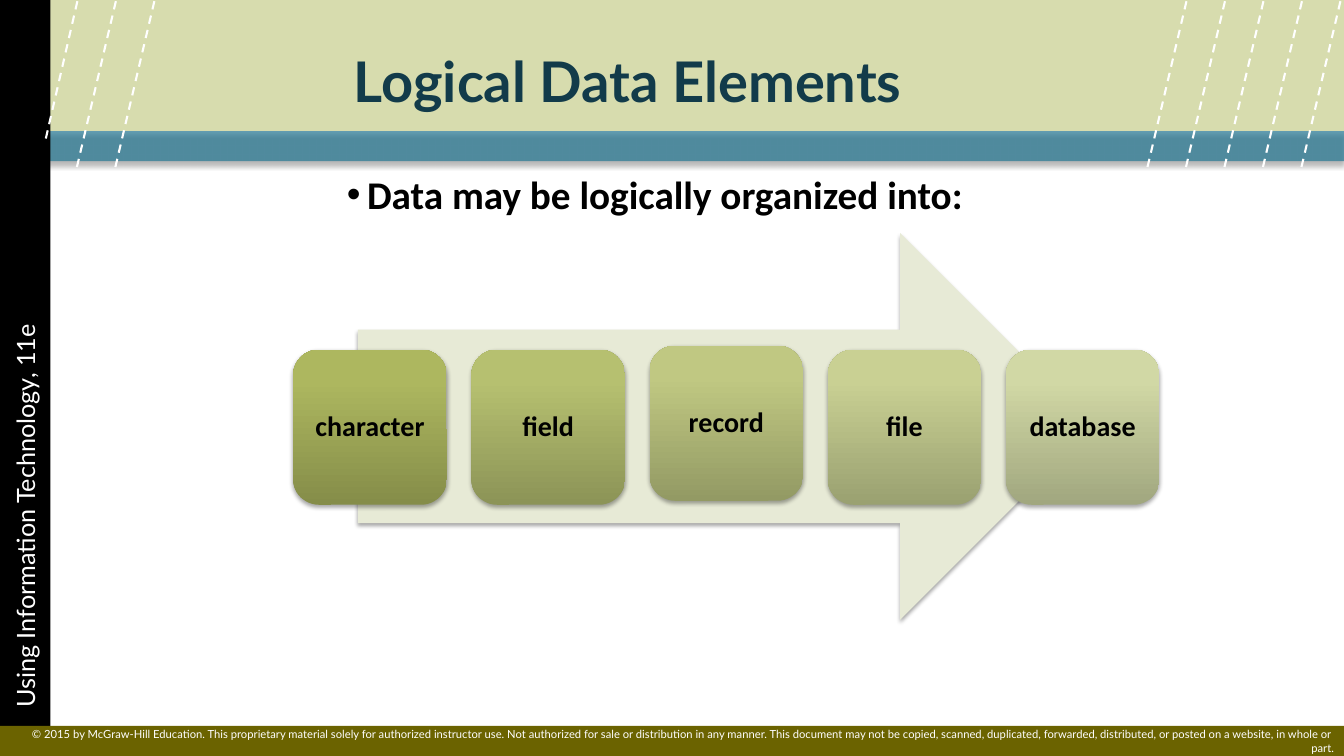
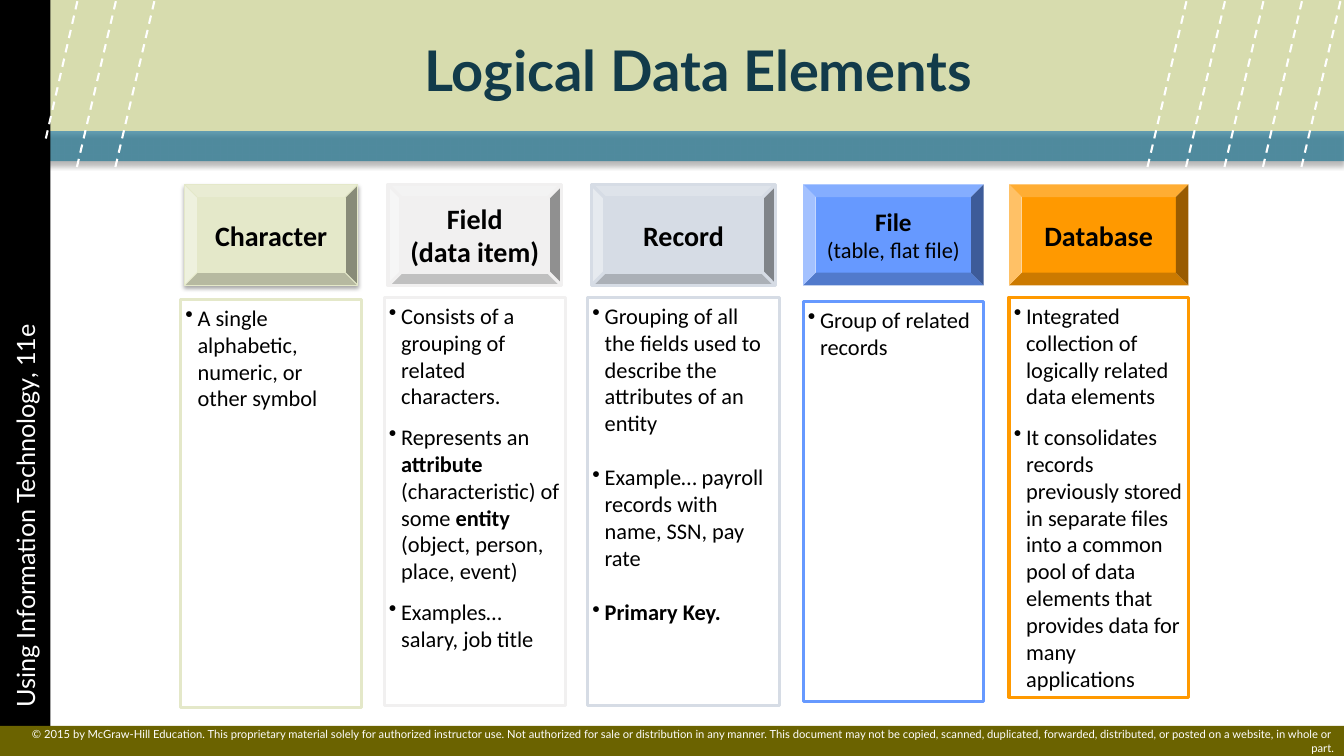
from copy import deepcopy
from dataclasses import dataclass

from lxml import etree
from pptx import Presentation
from pptx.dml.color import RGBColor
from pptx.enum.dml import MSO_LINE
from pptx.enum.shapes import MSO_CONNECTOR, MSO_SHAPE
from pptx.enum.text import MSO_ANCHOR, MSO_AUTO_SIZE, PP_ALIGN
from pptx.oxml.ns import qn
from pptx.util import Cm, Pt

RECT, BEVEL = MSO_SHAPE.RECTANGLE, MSO_SHAPE.BEVEL
ROUNDED, RIGHT_ARROW = MSO_SHAPE.ROUNDED_RECTANGLE, MSO_SHAPE.RIGHT_ARROW
STRAIGHT, DASH = MSO_CONNECTOR.STRAIGHT, MSO_LINE.DASH
TOP, MIDDLE = MSO_ANCHOR.TOP, MSO_ANCHOR.MIDDLE
LEFT, CENTER, RIGHT = PP_ALIGN.LEFT, PP_ALIGN.CENTER, PP_ALIGN.RIGHT
NO_AUTOFIT = MSO_AUTO_SIZE.NONE


@dataclass(frozen=True)
class Theme:
    width: float = 33.87
    height: float = 19.05
    display_font: str = "Lato"
    text_font: str = "Calibri"
    title: str = "123B4A"
    header: str = "D7DCAE"
    band: str = "247793"
    footer: str = "6B6300"
    arrow: str = "E7EAD6"
    black: str = "000000"
    white: str = "FFFFFF"
    title_size: int = 40
    lead_size: int = 28
    label_size: int = 20
    side_size: int = 18
    text_size: int = 16
    footer_size: int = 8


@dataclass(frozen=True)
class Column:
    heading: str
    items: tuple
    color: str
    left: float
    width: float
    top: float
    height: float
    heading_size: int = 20
    heading_inset: float = 0
    heading_line: float = 0
    heading_shadow: bool = False
    gap: float = 9.75


THEME = Theme()
TITLE = "Logical Data Elements"
LEAD = "*Data may be logically organized into:*"
SIDE = "Using Information Technology, 11e"
COPYRIGHT = (
    "© 2015 by McGraw-Hill Education. This proprietary material solely for "
    "authorized instructor use. Not authorized for sale or distribution in any "
    "manner. This document may not be copied, scanned, duplicated, forwarded, "
    "distributed, or posted on a website, in whole or part."
)

# Label, rise of the box, gradient from bottom to top
STEPS = (
    ("character", 0, ("858D49", "ADB75F", "AFBA5E")),
    ("field", 0, ("8C9457", "B6C070", "B8C26F")),
    ("record", 0.1, ("939A64", "C0C882", "C1CB81")),
    ("file", 0, ("9AA171", "C9D093", "CAD393")),
    ("database", 0, ("A1A77F", "D1D8A5", "D3DAA5")),
)

# Asterisks enclose bold words
COLUMNS = (
    Column("*Character*", ("A single alphabetic, numeric, or other symbol",),
           "E4E8C9", 4.55, 4.57, 7.54, 10.29,
           heading_inset=0.1, heading_line=0.75, heading_shadow=True),
    Column("*Field*\n*(data item)*",
           ("Consists of a grouping of related characters.",
            "Represents an *attribute* (characteristic) of some *entity* "
            "(object, person, place, event)",
            "Examples… salary, job title"),
           "F1F0F0", 9.68, 4.57, 7.49, 10.29, heading_inset=0.1, heading_line=2.25),
    Column("*Record*",
           ("Grouping of all\nthe fields used to describe the attributes of an entity",
            "Example… payroll records with name, SSN, pay rate",
            "*Primary Key.*"),
           "D6DCE5", 14.81, 4.83, 7.49, 10.29,
           heading_inset=0.1, heading_line=2.25, gap=19.5),
    Column("*File*\n(table, flat file)", ("Group of related records",),
           "6699FF", 20.24, 4.55, 7.59, 10.08, heading_size=18),
    Column("*Database*",
           ("Integrated collection of logically related data elements",
            "It consolidates records previously stored in separate files into a "
            "common pool of data elements that provides data for many applications"),
           "FF9900", 25.43, 4.52, 7.49, 10.08),
)


def rgb(color):
    return RGBColor.from_string(color)


def place(shape, left, top, width, height):
    shape.left, shape.top = Cm(left), Cm(top)
    shape.width, shape.height = Cm(width), Cm(height)


def set_margins(frame, margin):
    frame.margin_left = frame.margin_right = Cm(margin)
    frame.margin_top = frame.margin_bottom = Cm(margin)


def format_run(run, font, size, color, bold=False):
    run.font.name, run.font.size, run.font.bold = font, Pt(size), bold
    run.font.color.rgb = rgb(color)


def write_marked(paragraph, text, bold_size, plain_size=THEME.text_size):
    """Write text whose asterisks enclose bold words."""
    for number, line in enumerate(text.split("\n")):
        if number:
            paragraph.add_line_break()
        for index, piece in enumerate(line.split("*")):
            if piece:
                bold = index % 2 == 1
                run = paragraph.add_run()
                run.text = piece
                format_run(run, THEME.text_font, bold_size if bold else plain_size,
                           THEME.black, bold)


def write_plain(shape, text, size, color, align, bold=False):
    frame = shape.text_frame
    frame.text = text
    frame.vertical_anchor = MIDDLE
    paragraph = frame.paragraphs[0]
    paragraph.alignment = align
    format_run(paragraph.runs[0], THEME.display_font, size, color, bold)


def write_list(frame, items, size, indent, gap=0):
    for number, item in enumerate(items):
        paragraph = frame.add_paragraph() if number else frame.paragraphs[0]
        properties = paragraph._p.get_or_add_pPr()
        properties.set("marL", str(Cm(indent)))
        properties.set("indent", str(-Cm(indent)))
        etree.SubElement(properties, qn("a:buChar"), char="•")
        paragraph.alignment = LEFT
        paragraph.space_before = Pt(gap if number else 0)
        write_marked(paragraph, item, size)


def add_shadow(shape, alpha=35, blur=3.1, distance=1.8):
    effects = shape.element.spPr.find(qn("a:effectLst"))
    shadow = etree.SubElement(effects, qn("a:outerShdw"), blurRad=str(Pt(blur)),
                              dist=str(Pt(distance)), dir="5400000", rotWithShape="0")
    color = etree.SubElement(shadow, qn("a:srgbClr"), val=THEME.black)
    etree.SubElement(color, qn("a:alpha"), val=str(alpha * 1000))


def add_panel(slide, kind, box, fill, line=None, line_width=0):
    panel = slide.shapes.add_shape(kind, *map(Cm, box))
    panel.shadow.inherit = False
    panel.fill.solid()
    panel.fill.fore_color.rgb = rgb(fill)
    if line_width:
        panel.line.color.rgb = rgb(line)
        panel.line.width = Pt(line_width)
    else:
        panel.line.fill.background()
    return panel


def fill_gradient(shape, colors):
    shape.fill.gradient()
    shape.fill.gradient_angle = 90
    stop_list = shape.element.spPr.find(qn("a:gradFill")).find(qn("a:gsLst"))
    stop_list.append(deepcopy(stop_list[0]))
    for stop, color, position in zip(shape.fill.gradient_stops, colors, (0, 0.8, 1)):
        stop.color.rgb = rgb(color)
        stop.position = position


def add_dash(slide, start_x, end_x, end_y):
    dash = slide.shapes.add_connector(
        STRAIGHT, Cm(start_x), Cm(0.03), Cm(end_x), Cm(end_y))
    dash.line.color.rgb = rgb(THEME.white)
    dash.line.width = Pt(1.5)
    dash.line.dash_style = DASH
    etree.SubElement(dash.element.spPr, qn("a:effectLst"))
    return dash


def build_master(prs, slide):
    """Draw the shared decoration, then move it to the slide master."""
    # Bands
    band = add_panel(slide, RECT, (0.84, 3.3, 33.03, 0.76), THEME.band)
    tint = band.element.spPr.find(qn("a:solidFill"))[0]
    etree.SubElement(tint, qn("a:alpha"), val="70000")
    add_shadow(band, 40, 4, 3)
    header = add_panel(slide, RECT, (0, 0, THEME.width, 3.3), THEME.header)
    side = add_panel(slide, RECT, (-8.89, 8.89, THEME.height, 1.27), THEME.black)
    side.rotation = 270
    write_plain(side, SIDE, THEME.side_size, THEME.white, LEFT)
    side.text_frame.margin_left = Cm(1.22)
    footer = add_panel(slide, RECT, (0, 18.29, THEME.width, 0.76), THEME.footer)
    write_plain(footer, COPYRIGHT, THEME.footer_size, THEME.white, RIGHT)

    # Slanted dashes
    pitch, lean, bottom = 0.97, 1.09, 4.67
    starts = [33.78 - pitch * i for i in range(5)] + [3.89, 3.89 - pitch]
    dashes = [add_dash(slide, x, x - lean, bottom) for x in starts]
    dashes.append(add_dash(slide, 1.95, 1.14, 3.56))

    # Behind the master's placeholders
    tree = prs.slide_master.shapes.element
    for number, part in enumerate([band, header, side, footer, *dashes]):
        part.element.xpath(".//p:cNvPr")[0].set("id", str(100 + number))
        tree.insert(2 + number, part.element)


def set_title(slide, left, top, width):
    title = slide.shapes.title
    place(title, left, top, width, 2.74)
    write_plain(title, TITLE, THEME.title_size, THEME.title, LEFT, bold=True)
    title.text_frame.auto_size = NO_AUTOFIT


def build_sequence(slide):
    set_title(slide, 8.66, 0.66, 22.66)
    lead = slide.placeholders[1]
    place(lead, 8.74, 4.29, 22.45, 11.99)
    lead.text_frame.auto_size = NO_AUTOFIT
    lead.text_frame.vertical_anchor = TOP
    set_margins(lead.text_frame, 0)
    write_list(lead.text_frame, [LEAD], THEME.lead_size, 0.51)

    # Arrow and steps
    arrow = add_panel(slide, RIGHT_ARROW, (9.02, 5.87, 18.54, 9.75), THEME.arrow)
    add_shadow(arrow)
    for number, (label, rise, colors) in enumerate(STEPS):
        box = (7.39 + 4.49 * number, 8.81 - rise, 3.87, 3.91)
        step = add_panel(slide, ROUNDED, box, colors[1])
        fill_gradient(step, colors)
        add_shadow(step)
        set_margins(step.text_frame, 0.2)
        step.text_frame.vertical_anchor = MIDDLE
        paragraph = step.text_frame.paragraphs[0]
        paragraph.alignment = CENTER
        paragraph.line_spacing = 0.9
        write_marked(paragraph, f"*{label}*", THEME.label_size)


def add_column(slide, column):
    # Heading
    inset = column.heading_inset
    heading = add_panel(
        slide, BEVEL, (column.left + inset, 4.65, column.width - 2 * inset, 2.54),
        column.color, column.color, column.heading_line)
    if column.heading_shadow:
        add_shadow(heading)
    set_margins(heading.text_frame, 0.12)
    heading.text_frame.vertical_anchor = MIDDLE
    paragraph = heading.text_frame.paragraphs[0]
    paragraph.alignment = CENTER
    write_marked(paragraph, column.heading, column.heading_size)

    # Details
    details = add_panel(
        slide, RECT, (column.left, column.top, column.width, column.height),
        THEME.white, column.color, 2.25)
    details.text_frame.vertical_anchor = TOP
    set_margins(details.text_frame, 0.12)
    write_list(details.text_frame, column.items, THEME.text_size, 0.31, column.gap)


def build_definitions(slide):
    set_title(slide, 10.44, 0.38, 17.83)
    for column in COLUMNS:
        add_column(slide, column)


def main():
    prs = Presentation()
    prs.slide_width, prs.slide_height = Cm(THEME.width), Cm(THEME.height)
    sequence = prs.slides.add_slide(prs.slide_layouts[1])
    definitions = prs.slides.add_slide(prs.slide_layouts[5])
    build_master(prs, sequence)
    build_sequence(sequence)
    build_definitions(definitions)
    prs.save("out.pptx")


if __name__ == "__main__":
    main()
